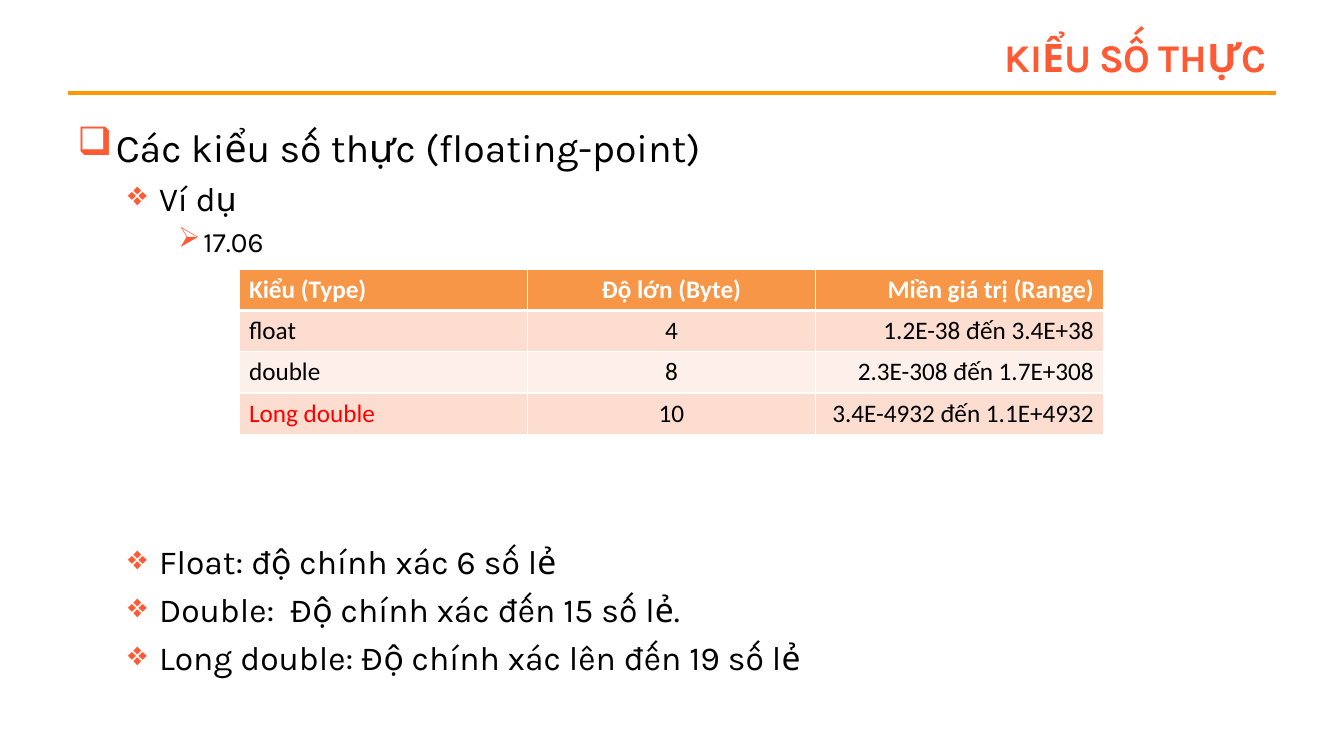
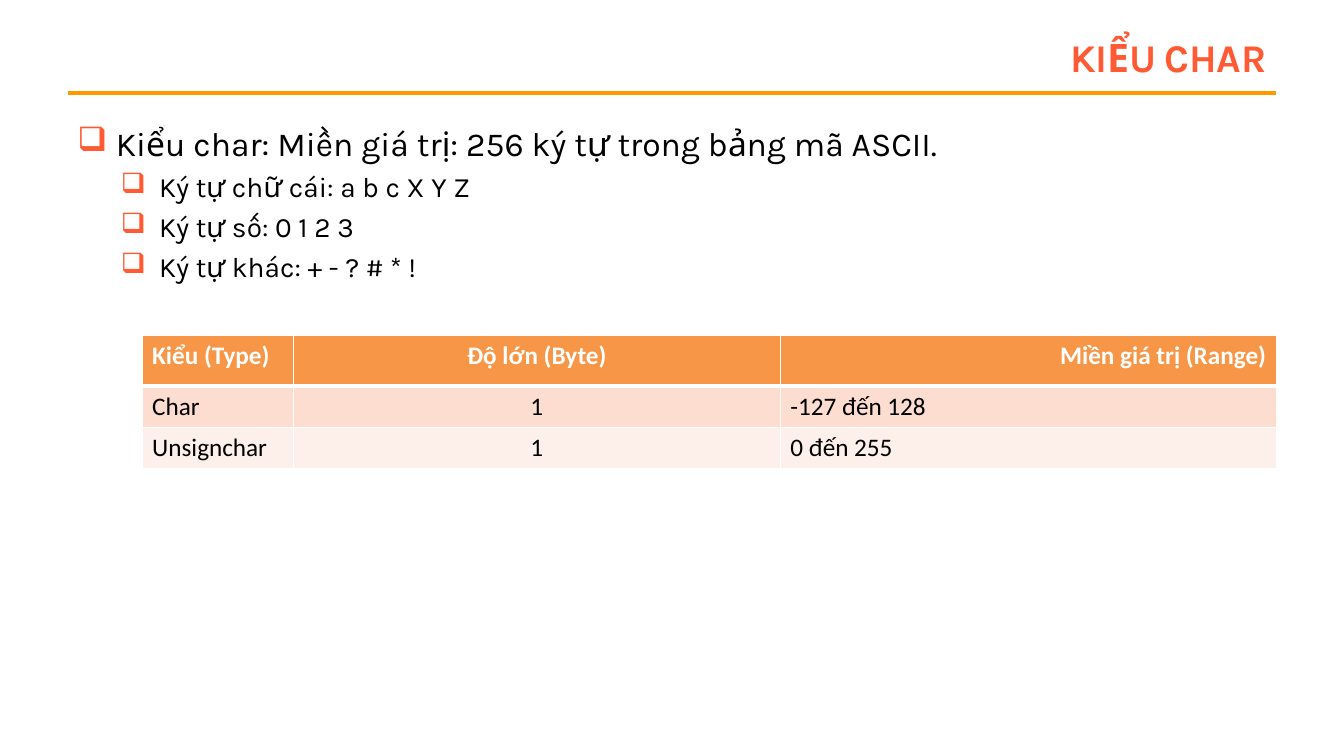
"""Build two lecture slides on real-number and char types."""
from dataclasses import dataclass

from lxml import etree
from pptx import Presentation
from pptx import util as u
from pptx.dml.color import RGBColor
from pptx.enum import shapes, text
from pptx.oxml import ns

LEFT, CENTER, RIGHT = text.PP_ALIGN.LEFT, text.PP_ALIGN.CENTER, text.PP_ALIGN.RIGHT


@dataclass(frozen=True)
class Theme:
    accent: str = "FF5A33"
    rule: str = "FF9900"
    ink: str = "000000"
    alert: str = "FF0000"
    paper: str = "FFFFFF"
    header: str = "F79646"
    bands: tuple[str, str] = ("FCDDCF", "FDEFE9")
    body_font: str = "Karla"
    table_font: str = "Calibri"
    large: int = 28
    medium: int = 24
    small: int = 20
    cell: int = 18
    space_ratio: float = 0.23


THEME = Theme()


@dataclass(frozen=True)
class Level:
    size: int
    bullet: str
    margin: float
    hanging: float


TOPIC = Level(THEME.large, "❑", 0.38, 0.38)
POINT = Level(THEME.medium, "❖", 0.81, 0.31)
DETAIL = Level(THEME.small, "➢", 1.25, 0.25)
LEAD = Level(THEME.medium, "❑", 0.38, 0.38)
EXAMPLE = Level(THEME.small, "❑", 0.81, 0.38)


@dataclass(frozen=True)
class Item:
    level: Level
    words: str
    space_before: float | None = None


@dataclass(frozen=True)
class Grid:
    left: float
    top: float
    columns: tuple[float, ...]
    rows: tuple[float, ...]
    body: tuple[tuple[str, ...], ...]
    range_align: text.PP_ALIGN
    alerts: tuple[str, ...] = ()


@dataclass(frozen=True)
class Lesson:
    title: str
    items: tuple[Item, ...]
    grid: Grid


HEADINGS = ("Kiểu (Type)", "Độ lớn (Byte)", "Miền giá trị (Range)")

LESSONS = (
    Lesson(
        "KIỂU SỐ THỰC",
        (
            Item(TOPIC, "Các kiểu số thực (floating-point)"),
            Item(POINT, "Ví dụ"),
            Item(DETAIL, "17.06"),
            Item(POINT, "Float: độ chính xác 6 số lẻ", space_before=202),
            Item(POINT, "Double:  Độ chính xác đến 15 số lẻ."),
            Item(POINT, "Long double: Độ chính xác lên đến 19 số lẻ"),
        ),
        Grid(
            2.37, 2.67, (2.86,) * 3, (0.41,) * 4,
            (
                ("float", "4", "1.2E-38 đến 3.4E+38"),
                ("double", "8", "2.3E-308 đến 1.7E+308"),
                ("Long double", "10", "3.4E-4932 đến 1.1E+4932"),
            ),
            RIGHT, alerts=("Long double",),
        ),
    ),
    Lesson(
        "KIỂU CHAR",
        (
            Item(LEAD, "Kiểu char: Miền giá trị: 256 ký tự trong bảng mã ASCII."),
            Item(EXAMPLE, "Ký tự chữ cái: a b c X Y Z"),
            Item(EXAMPLE, "Ký tự số: 0 1 2 3"),
            Item(EXAMPLE, "Ký tự khác: + - ? # * !"),
        ),
        Grid(
            1.41, 3.33, (1.5, 4.83, 4.92), (0.5, 0.41, 0.41),
            (("Char", "1", "-127 đến 128"), ("Unsignchar", "1", "0 đến 255")),
            LEFT,
        ),
    ),
)


def add_span(para, words: str, font: str, size: int, color: str, bold: bool = False):
    """Append one formatted run to a paragraph."""
    span = para.add_run()
    span.text = words
    span.font.name = font
    span.font.size = u.Pt(size)
    span.font.bold = bold
    span.font.color.rgb = RGBColor.from_string(color)
    return span


def add_frame(page, left: float, top: float, width: float, height: float):
    """Add a wrapping text box and return its text frame."""
    box = page.shapes.add_textbox(*map(u.Inches, (left, top, width, height)))
    box.text_frame.word_wrap = True
    return box.text_frame


def add_heading(page, title: str) -> None:
    """Draw the right-aligned title and the rule under it."""
    line = page.shapes.add_connector(
        shapes.MSO_CONNECTOR.STRAIGHT, *map(u.Inches, (0.67, 0.92, 12.66, 0.92)))
    line.line.color.rgb = RGBColor.from_string(THEME.rule)
    line.line.width = u.Pt(3)
    etree.SubElement(line._element.spPr, ns.qn("a:effectLst"))
    frame = add_frame(page, 3, 0.3, 9.66, 0.53)
    frame.vertical_anchor = text.MSO_ANCHOR.MIDDLE
    para = frame.paragraphs[0]
    para.alignment = RIGHT
    span = add_span(para, title, THEME.body_font, THEME.large, THEME.accent, bold=True)
    span.font._element.set("cap", "small")


def set_bullet(para, level: Level) -> None:
    """Give a paragraph a coloured bullet and a hanging indent."""
    props = para._p.get_or_add_pPr()
    props.set("marL", str(u.Inches(level.margin)))
    props.set("indent", str(-u.Inches(level.hanging)))
    tint = etree.SubElement(props, ns.qn("a:buClr"))
    etree.SubElement(tint, ns.qn("a:srgbClr"), val=THEME.accent)
    etree.SubElement(props, ns.qn("a:buChar"), char=level.bullet)


def add_outline(page, items: tuple[Item, ...]) -> None:
    """Draw the bulleted body text."""
    frame = add_frame(page, 0.67, 1.17, 12, 5.75)
    for index, item in enumerate(items):
        para = frame.add_paragraph() if index else frame.paragraphs[0]
        default_space = item.level.size * THEME.space_ratio
        para.space_before = u.Pt(item.space_before or default_space)
        set_bullet(para, item.level)
        add_span(para, item.words, THEME.body_font, item.level.size, THEME.ink)


def set_borders(cell, top: int, bottom: int) -> None:
    """Draw white borders around a cell, widths in points."""
    props = cell._tc.get_or_add_tcPr()
    for side, width in (("L", 1), ("R", 1), ("T", top), ("B", bottom)):
        edge = etree.SubElement(props, ns.qn(f"a:ln{side}"), w=str(u.Pt(width)))
        fill = etree.SubElement(edge, ns.qn("a:solidFill"))
        etree.SubElement(fill, ns.qn("a:srgbClr"), val=THEME.paper)


def add_grid(page, grid: Grid) -> None:
    """Draw the type table with a header and banded rows."""
    cells = (HEADINGS, *grid.body)
    table = page.shapes.add_table(
        len(cells), len(HEADINGS), u.Inches(grid.left), u.Inches(grid.top),
        u.Inches(sum(grid.columns)), u.Inches(sum(grid.rows))).table
    for column, width in zip(table.columns, grid.columns):
        column.width = u.Inches(width)
    for row, height in zip(table.rows, grid.rows):
        row.height = u.Inches(height)
    for r, values in enumerate(cells):
        is_header = r == 0
        fill = THEME.header if is_header else THEME.bands[(r - 1) % 2]
        aligns = (LEFT, CENTER, RIGHT if is_header else grid.range_align)
        for c, (words, align) in enumerate(zip(values, aligns)):
            cell = table.cell(r, c)
            set_borders(cell, top=3 if r == 1 else 1, bottom=3 if is_header else 1)
            cell.fill.solid()
            cell.fill.fore_color.rgb = RGBColor.from_string(fill)
            color = THEME.alert if words in grid.alerts else THEME.ink
            para = cell.text_frame.paragraphs[0]
            para.alignment = align
            add_span(para, words, THEME.table_font, THEME.cell,
                     THEME.paper if is_header else color, bold=is_header)


def main() -> None:
    """Build and save the deck."""
    deck = Presentation()
    deck.slide_width, deck.slide_height = u.Inches(13.33), u.Inches(7.5)
    for lesson in LESSONS:
        page = deck.slides.add_slide(deck.slide_layouts[6])
        add_heading(page, lesson.title)
        add_outline(page, lesson.items)
        add_grid(page, lesson.grid)
    deck.save("out.pptx")


if __name__ == "__main__":
    main()
